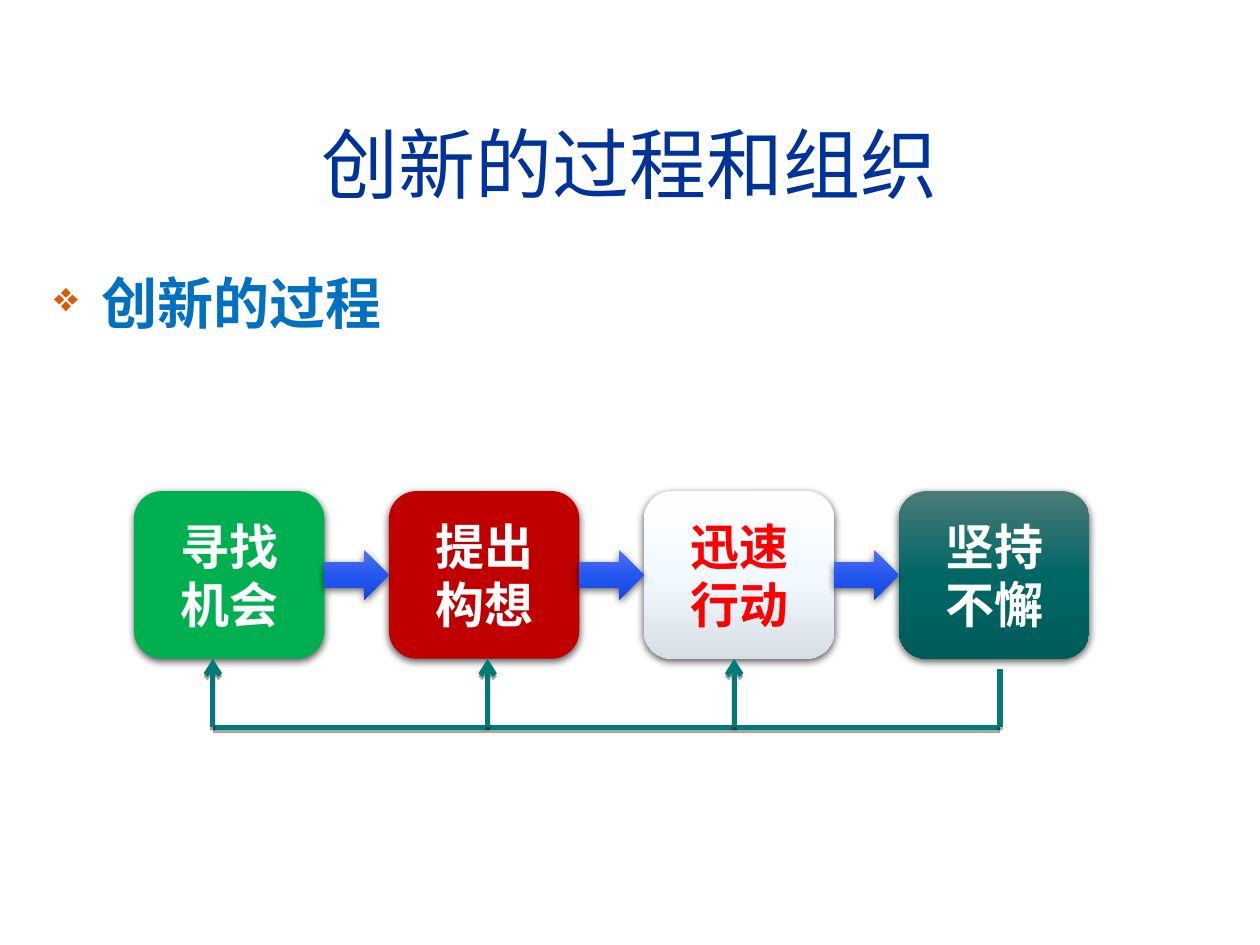
from dataclasses import dataclass

from lxml import etree
from pptx import Presentation
from pptx.dml.color import RGBColor
from pptx.enum.shapes import MSO_CONNECTOR, MSO_SHAPE
from pptx.enum.text import MSO_ANCHOR, PP_ALIGN
from pptx.oxml.ns import qn
from pptx.util import Cm, Pt

STEP_BOX = MSO_SHAPE.FLOWCHART_ALTERNATE_PROCESS
RIGHT_ARROW = MSO_SHAPE.RIGHT_ARROW
STRAIGHT = MSO_CONNECTOR.STRAIGHT
MIDDLE, TOP = MSO_ANCHOR.MIDDLE, MSO_ANCHOR.TOP
CENTER, LEFT = PP_ALIGN.CENTER, PP_ALIGN.LEFT


@dataclass(frozen=True)
class Theme:
    """Colours, font and type sizes of the deck."""
    font: str = "Arial"
    title_size: int = 44
    heading_size: int = 32
    step_size: int = 28
    title: str = "003399"
    heading: str = "0070C0"
    bullet: str = "DC5900"
    feedback: str = "007A77"
    shadow: str = "000000"
    white: str = "FFFFFF"
    red: str = "FF0000"
    green_fill: tuple = ("00B050",)
    red_fill: tuple = ("C00000",)
    pale_fill: tuple = ("FDFEFF", "F3FAFF", "D6DFE5")
    teal_fill: tuple = ("4B7A78", "006765", "005C5A")
    blue_fill: tuple = ("5572EC", "2457F0", "1548E0")


def add_node(parent, tag, **attributes):
    """Append a DrawingML element with the given attributes."""
    return etree.SubElement(parent, qn(tag), {key: str(value) for key, value in attributes.items()})


class SlideBuilder:
    """Draws styled elements on the current slide."""

    def __init__(self, theme, slide):
        self.theme = theme
        self.slide = slide

    def fill_text(self, frame, lines, size, color, bold=False, align=CENTER, anchor=MIDDLE):
        """Fill a text frame with one paragraph per line."""
        frame.word_wrap = True
        frame.vertical_anchor = anchor
        for index, line in enumerate(lines):
            paragraph = frame.add_paragraph() if index else frame.paragraphs[0]
            paragraph.alignment = align
            run = paragraph.add_run()
            run.text = line
            run.font.name = self.theme.font
            run.font.size = Pt(size)
            run.font.bold = bold
            run.font.color.rgb = RGBColor.from_string(color)

    def text(self, left, top, width, height, line, size, color, **style):
        """Add a text box and return its paragraph."""
        frame = self.slide.shapes.add_textbox(Cm(left), Cm(top), Cm(width), Cm(height)).text_frame
        self.fill_text(frame, [line], size, color, **style)
        return frame.paragraphs[0]

    def bullet(self, paragraph, symbol, indent):
        """Give a paragraph a coloured hanging bullet."""
        properties = paragraph._p.get_or_add_pPr()
        properties.set("marL", str(Cm(indent)))
        properties.set("indent", str(-Cm(indent)))
        add_node(add_node(properties, "a:buClr"), "a:srgbClr", val=self.theme.bullet)
        add_node(properties, "a:buSzPct", val=75000)
        add_node(properties, "a:buChar", char=symbol)

    def shadow(self, effects, blur, distance, opacity):
        """Add a downward outer shadow to an effect list."""
        outer = add_node(effects, "a:outerShdw", blurRad=Pt(blur), dist=Pt(distance),
                         dir=5400000, rotWithShape=0)
        color = add_node(outer, "a:srgbClr", val=self.theme.shadow)
        add_node(color, "a:alpha", val=opacity * 1000)

    def block(self, kind, left, top, width, height, colors):
        """Add a shadowed shape with a solid or vertical gradient fill."""
        shape = self.slide.shapes.add_shape(kind, Cm(left), Cm(top), Cm(width), Cm(height))
        shape.line.fill.background()
        if len(colors) == 1:
            shape.fill.solid()
            shape.fill.fore_color.rgb = RGBColor.from_string(colors[0])
        else:
            shape.fill.gradient()
            shape.fill.gradient_angle = 270
            stops = shape._element.spPr.find(".//" + qn("a:gsLst"))
            for stop in list(stops):
                stops.remove(stop)
            for index, color in enumerate(colors):
                stop = add_node(stops, "a:gs", pos=index * 100000 // (len(colors) - 1))
                add_node(stop, "a:srgbClr", val=color)
        shape.shadow.inherit = False
        self.shadow(shape._element.spPr.find(qn("a:effectLst")), 4.5, 1.5, 63)
        return shape

    def line(self, start, end, arrow=False):
        """Add a feedback line, optionally ending in an arrowhead."""
        connector = self.slide.shapes.add_connector(STRAIGHT, *map(Cm, start + end))
        connector.line.width = Pt(3)
        connector.line.color.rgb = RGBColor.from_string(self.theme.feedback)
        if arrow:
            add_node(connector._element.spPr.find(qn("a:ln")), "a:tailEnd", type="arrow")
        self.shadow(add_node(connector._element.spPr, "a:effectLst"), 0, 1.8, 35)


def main():
    """Build the innovation process slide."""
    theme = Theme()
    deck = Presentation()
    deck.slide_width, deck.slide_height = Cm(25.4), Cm(19.05)
    builder = SlideBuilder(theme, deck.slides.add_slide(deck.slide_layouts[6]))

    builder.text(0.84, 1.7, 23.72, 3.18, "创新的过程和组织", theme.title_size, theme.title)
    heading = builder.text(0.84, 5.28, 23.72, 11.66, "创新的过程", theme.heading_size,
                           theme.heading, bold=True, align=LEFT, anchor=TOP)
    builder.bullet(heading, "❖", 0.95)

    steps = [
        (("寻找", "机会"), theme.green_fill, theme.white),
        (("提出", "构想"), theme.red_fill, theme.white),
        (("迅速", "行动"), theme.pale_fill, theme.red),
        (("坚持", "不懈"), theme.teal_fill, theme.white),
    ]
    first_left, step_top, step_width, step_height = 2.7, 9.9, 3.84, 3.38
    gap, arrow_height = 1.3, 1.0
    pitch = step_width + gap
    for index, (lines, fill, color) in enumerate(steps):
        step = builder.block(STEP_BOX, first_left + index * pitch, step_top,
                             step_width, step_height, fill)
        builder.fill_text(step.text_frame, lines, theme.step_size, color, bold=True)
    arrow_top = step_top + (step_height - arrow_height) / 2
    for index in range(len(steps) - 1):
        builder.block(RIGHT_ARROW, first_left + index * pitch + step_width, arrow_top,
                      gap, arrow_height, theme.blue_fill)

    step_bottom, return_level = step_top + step_height, 14.66
    return_targets, return_source = (4.29, 9.83, 14.8), 20.16
    builder.line((return_targets[0], return_level), (return_source, return_level))
    builder.line((return_source, 13.49), (return_source, return_level))
    for target in return_targets:
        builder.line((target, return_level), (target, step_bottom), arrow=True)

    deck.save("out.pptx")


if __name__ == "__main__":
    main()
